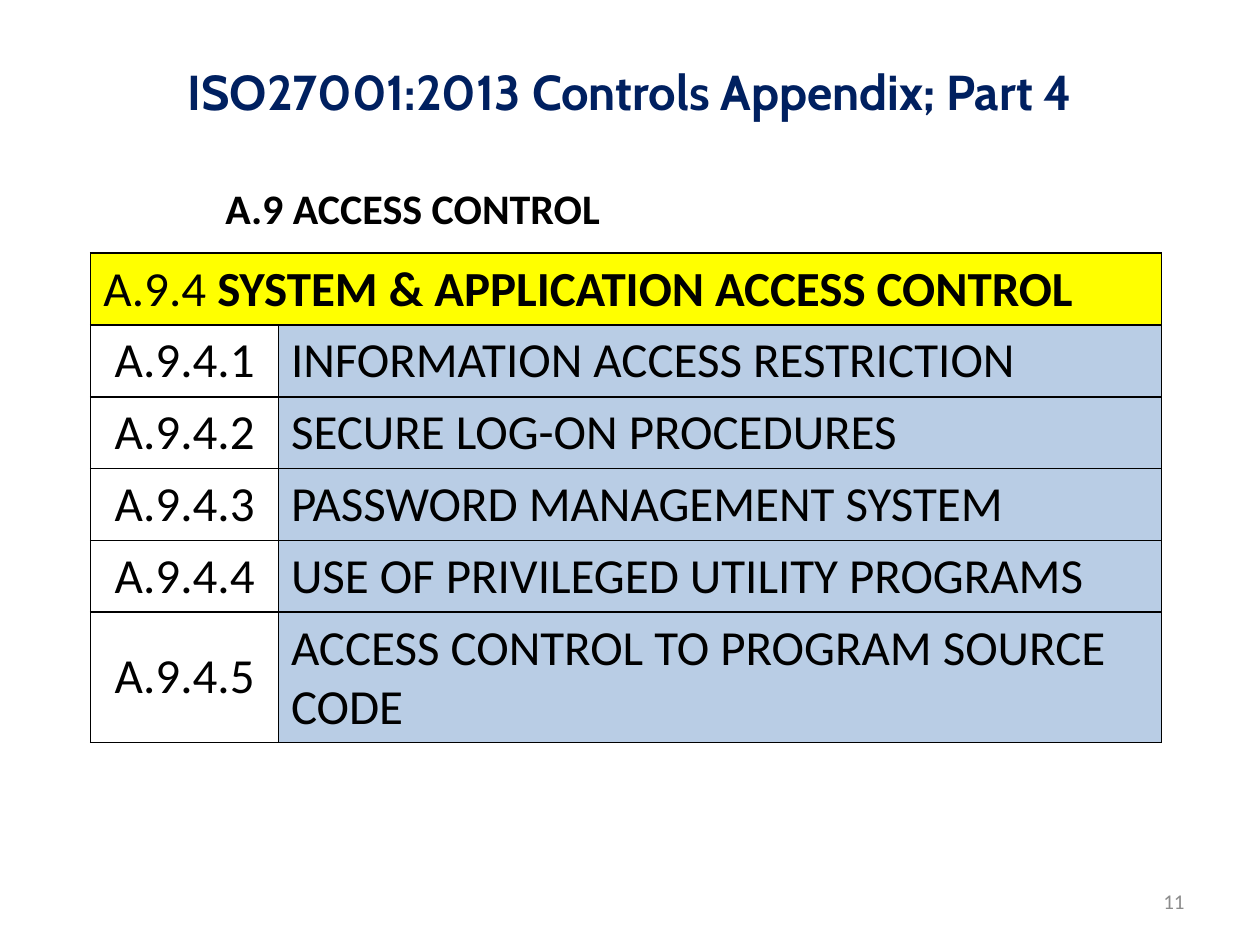
from typing import NamedTuple

from lxml.etree import SubElement
from pptx import Presentation
from pptx.dml.color import RGBColor
from pptx.enum.text import MSO_ANCHOR as Anchor, PP_ALIGN as Align
from pptx.oxml.ns import qn
from pptx.util import Inches, Pt

COLORS = {
    "title": "002060",
    "text": "000000",
    "number": "8C8C8C",
    "heading": "FFFF00",
    "control": "B9CDE5",
    "border": "000000",
}
COLUMN_WIDTHS = (1.49, 7.01)
ROW_HEIGHT = 0.57
TALL_ROW_HEIGHT = 1.03


class Style(NamedTuple):
    size: float
    color: str = "text"
    bold: bool = False
    font: str = "Calibri"


class Box(NamedTuple):
    left: float
    top: float
    width: float
    height: float

    def emu(self) -> list:
        return [Inches(length) for length in self]


class Control(NamedTuple):
    code: str
    name: str


CONTROLS = [
    Control("A.9.4.1", "INFORMATION ACCESS RESTRICTION"),
    Control("A.9.4.2", "SECURE LOG-ON PROCEDURES"),
    Control("A.9.4.3", "PASSWORD MANAGEMENT SYSTEM"),
    Control("A.9.4.4", "USE OF PRIVILEGED UTILITY PROGRAMS"),
    Control("A.9.4.5", "ACCESS CONTROL TO PROGRAM SOURCE CODE"),
]
CELL_STYLE = Style(28)


def rgb(name: str) -> RGBColor:
    return RGBColor.from_string(COLORS[name])


def write(frame, runs: list, align=Align.LEFT, anchor=Anchor.MIDDLE) -> None:
    """Fill the first paragraph with (text, style) runs."""
    frame.vertical_anchor = anchor
    paragraph = frame.paragraphs[0]
    paragraph.alignment = align
    for text, style in runs:
        run = paragraph.add_run()
        run.text = text
        values = {"name": style.font, "size": Pt(style.size), "bold": style.bold}
        for attribute, value in values.items():
            setattr(run.font, attribute, value)
        run.font.color.rgb = rgb(style.color)


def add_label(slide, box: Box, text: str, style: Style, wrap: bool, **layout) -> None:
    frame = slide.shapes.add_textbox(*box.emu()).text_frame
    frame.word_wrap = wrap
    write(frame, [(text, style)], **layout)


def format_cell(cell, fill: str = "") -> None:
    """Draw the four borders, then set the fill."""
    properties = cell._tc.get_or_add_tcPr()
    for side in ("lnL", "lnR", "lnT", "lnB"):
        line = SubElement(properties, qn(f"a:{side}"), w=str(Pt(1)))
        solid = SubElement(line, qn("a:solidFill"))
        SubElement(solid, qn("a:srgbClr"), val=COLORS["border"])
    if fill:
        cell.fill.solid()
        cell.fill.fore_color.rgb = rgb(fill)
    else:
        cell.fill.background()


def add_controls_table(slide, left: float, top: float) -> None:
    heights = [ROW_HEIGHT] * len(CONTROLS) + [TALL_ROW_HEIGHT]
    box = Box(left, top, sum(COLUMN_WIDTHS), sum(heights))
    table = slide.shapes.add_table(len(heights), len(COLUMN_WIDTHS), *box.emu()).table
    table.first_row = table.horz_banding = False
    for column, width in zip(table.columns, COLUMN_WIDTHS):
        column.width = Inches(width)
    for row, height in zip(table.rows, heights):
        row.height = Inches(height)

    heading = table.cell(0, 0)
    heading.merge(table.cell(0, 1))
    for cell in table.rows[0].cells:
        format_cell(cell, "heading")
    bold = CELL_STYLE._replace(bold=True)
    write(heading.text_frame,
          [("A.9.4 ", CELL_STYLE), ("SYSTEM & APPLICATION ACCESS CONTROL", bold)],
          anchor=Anchor.TOP)

    for index, control in enumerate(CONTROLS, start=1):
        for column, (fill, align) in enumerate([("", Align.CENTER), ("control", Align.LEFT)]):
            cell = table.cell(index, column)
            format_cell(cell, fill)
            write(cell.text_frame, [(control[column], CELL_STYLE)], align)
            cell.vertical_anchor = Anchor.MIDDLE


def main() -> None:
    presentation = Presentation()
    presentation.slide_width, presentation.slide_height = Inches(10), Inches(7.5)
    slide = presentation.slides.add_slide(presentation.slide_layouts[5])

    title = slide.shapes.title
    title.left, title.top, title.width, title.height = Box(0.5, 0.23, 9, 0.98).emu()
    write(title.text_frame,
          [("ISO27001:2013 Controls Appendix; Part 4", Style(28, "title", True, "Cabin"))],
          Align.CENTER)
    add_label(slide, Box(1.69, 1.4, 3.2, 0.5), "A.9 ACCESS CONTROL",
              Style(24, bold=True), wrap=False, anchor=Anchor.TOP)
    add_controls_table(slide, 0.72, 2.01)
    add_label(slide, Box(7.17, 6.95, 2.33, 0.4), "11", Style(12, "number"),
              wrap=True, align=Align.RIGHT)
    presentation.save("out.pptx")


if __name__ == "__main__":
    main()
